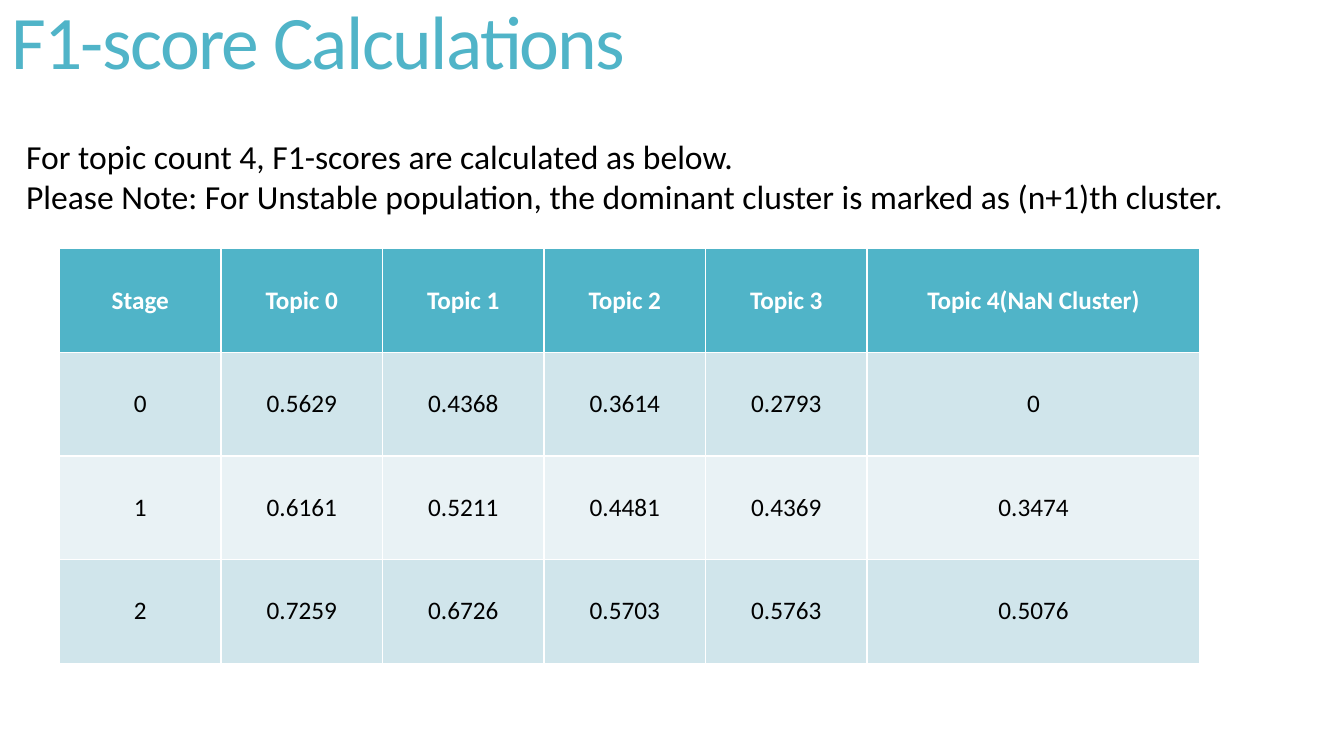
import pptx
import pptx.dml.color
import pptx.enum.text
import pptx.util

Cm = pptx.util.Cm
Pt = pptx.util.Pt
MIDDLE = pptx.enum.text.MSO_ANCHOR.MIDDLE
CENTER = pptx.enum.text.PP_ALIGN.CENTER

FONT = "Calibri"
TEAL, WHITE, BLACK = "50B4C8", "FFFFFF", "000000"
BANDS = ("D0E5EB", "E9F2F5")

TITLE = "F1-score Calculations"
NOTES = (
    "For topic count 4, F1-scores are calculated as below.",
    "Please Note: For Unstable population, the dominant cluster is marked as (n+1)th cluster.",
)
SCORES = (
    ("Stage", "Topic 0", "Topic 1", "Topic 2", "Topic 3", "Topic 4(NaN Cluster)"),
    ("0", "0.5629", "0.4368", "0.3614", "0.2793", "0"),
    ("1", "0.6161", "0.5211", "0.4481", "0.4369", "0.3474"),
    ("2", "0.7259", "0.6726", "0.5703", "0.5763", "0.5076"),
)
COLUMN_WIDTHS = [4.07] * 5 + [8.39]
ROW_HEIGHT = 2.61


def color(value):
    return pptx.dml.color.RGBColor.from_string(value)


def add_span(para, text, size, value, bold=False):
    span = para.add_run()
    span.text = text
    span.font.name = FONT
    span.font.size = Pt(size)
    span.font.bold = bold
    span.font.color.rgb = color(value)
    return span


def add_title(page):
    title = page.shapes.title
    title.left, title.top, title.width, title.height = Cm(0.03), Cm(0), Cm(18.85), Cm(2.36)
    frame = title.text_frame
    frame.auto_size = pptx.enum.text.MSO_AUTO_SIZE.NONE
    frame.vertical_anchor = MIDDLE
    para = frame.paragraphs[0]
    para.alignment = pptx.enum.text.PP_ALIGN.LEFT
    para.line_spacing = 0.85
    span = add_span(para, TITLE, 54, TEAL)
    span.font._element.set("spc", "-120")


def add_score_table(page):
    table = page.shapes.add_table(
        len(SCORES), len(COLUMN_WIDTHS), Cm(1.5), Cm(6.27),
        Cm(sum(COLUMN_WIDTHS)), Cm(ROW_HEIGHT * len(SCORES)),
    ).table
    for column, width in zip(table.columns, COLUMN_WIDTHS):
        column.width = Cm(width)
    for row_number, values in enumerate(SCORES):
        table.rows[row_number].height = Cm(ROW_HEIGHT)
        header = row_number == 0
        for column_number, text in enumerate(values):
            cell = table.cell(row_number, column_number)
            cell.fill.solid()
            cell.fill.fore_color.rgb = color(TEAL if header else BANDS[(row_number - 1) % 2])
            cell.vertical_anchor = MIDDLE
            cell.margin_left = cell.margin_right = cell.margin_top = cell.margin_bottom = 0
            para = cell.text_frame.paragraphs[0]
            para.alignment = CENTER
            add_span(para, text, 18, WHITE if header else BLACK, bold=header)


def add_notes(page):
    """Place the two explanatory lines above the table."""
    frame = page.shapes.add_textbox(Cm(0.41), Cm(3.3), Cm(32.74), Cm(2.31)).text_frame
    frame.word_wrap = True
    frame.auto_size = pptx.enum.text.MSO_AUTO_SIZE.SHAPE_TO_FIT_TEXT
    for number, text in enumerate(NOTES):
        para = frame.add_paragraph() if number else frame.paragraphs[0]
        add_span(para, text, 24, BLACK)


def main():
    deck = pptx.Presentation()
    deck.slide_width, deck.slide_height = Cm(33.87), Cm(19.05)
    page = deck.slides.add_slide(deck.slide_layouts[5])
    add_title(page)
    add_score_table(page)
    add_notes(page)
    deck.save("out.pptx")


if __name__ == "__main__":
    main()
